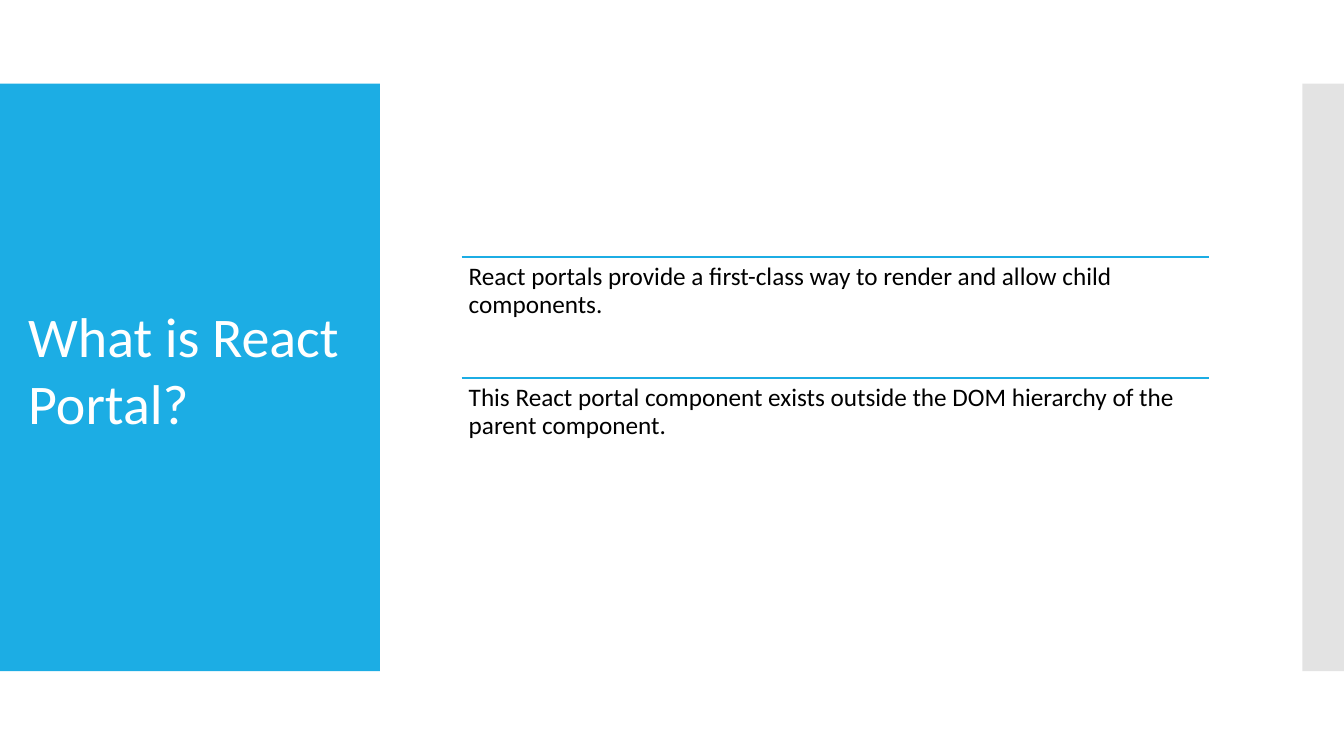
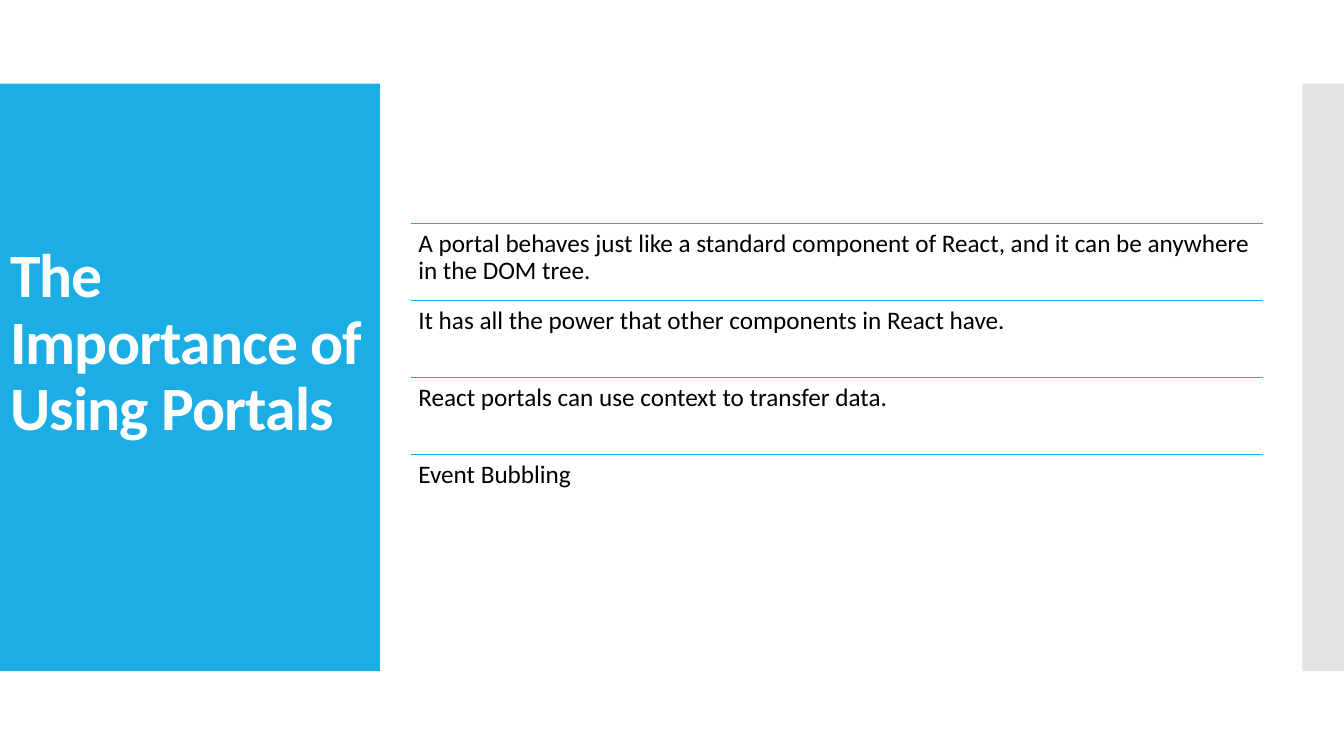
import pptx
import pptx.util
import pptx.dml.color
import pptx.enum.shapes
import pptx.enum.text
import pptx.oxml.ns
import lxml.etree

Inches = pptx.util.Inches
RGBColor = pptx.dml.color.RGBColor

BLUE = RGBColor(0x1C, 0xAD, 0xE4)
GREY = RGBColor(0xC8, 0xC8, 0xC8)
WHITE = RGBColor(0xFF, 0xFF, 0xFF)
BLACK = RGBColor(0x00, 0x00, 0x00)
FONT = "Calibri"
TITLE_ONLY = 5

PAGES = [
    {
        "title": "What is React Portal?",
        "title_box": (0.18, 2.93, 3.4, 1.45),
        "title_format": {"size": 40},
        "list_left": 4.58, "list_top": 2.55, "list_width": 7.41, "row_height": 1.2,
        "rows": [
            "React portals provide a first-class way to render and allow child components.",
            "This React portal component exists outside the DOM hierarchy of the parent component.",
        ],
    },
    {
        "title": "The Importance of Using Portals",
        "title_box": (0, 0.9, 3.83, 5.03),
        "title_format": {"size": 44, "bold": True, "line_spacing": 0.9, "tracking": -60},
        "list_left": 4.08, "list_top": 2.22, "list_width": 8.45, "row_height": 0.764,
        "rows": [
            "A portal behaves just like a standard component of React, and it can be anywhere in the DOM tree.",
            "It has all the power that other components in React have.",
            "React portals can use context to transfer data.",
            "Event Bubbling",
        ],
    },
]


def write_text(shape, text, size=18, color=BLACK, bold=False, line_spacing=1.0,
               tracking=0, margin=0.07, anchor=pptx.enum.text.MSO_ANCHOR.TOP):
    frame = shape.text_frame
    frame.word_wrap = True
    frame.auto_size = pptx.enum.text.MSO_AUTO_SIZE.NONE
    frame.vertical_anchor = anchor
    frame.margin_left = frame.margin_right = Inches(margin)
    frame.margin_top = frame.margin_bottom = Inches(0.07)
    para = frame.paragraphs[0]
    para.alignment = pptx.enum.text.PP_ALIGN.LEFT
    para.line_spacing = line_spacing
    span = para.add_run()
    span.text = text
    span.font.name = FONT
    span.font.size = pptx.util.Pt(size)
    span.font.bold = bold
    span.font.color.rgb = color
    if tracking:
        span.font._element.set("spc", str(tracking))


deck = pptx.Presentation()
deck.slide_width = Inches(13.333)
deck.slide_height = Inches(7.5)
pages = [deck.slides.add_slide(deck.slide_layouts[TITLE_ONLY]) for _ in PAGES]

# Side bands, drawn once and moved to the back of the slide master
for index, (left, width, color) in enumerate([(0, 3.77, BLUE), (12.92, 0.42, GREY)]):
    band = pages[0].shapes.add_shape(
        pptx.enum.shapes.MSO_SHAPE.RECTANGLE,
        Inches(left), Inches(0.83), Inches(width), Inches(5.83))
    band.shadow.inherit = False
    band.fill.solid()
    band.fill.fore_color.rgb = color
    band.line.fill.background()
    if color == GREY:
        tint = band.element.spPr.find(".//" + pptx.oxml.ns.qn("a:srgbClr"))
        lxml.etree.SubElement(tint, pptx.oxml.ns.qn("a:alpha"), val="50000")
    deck.slide_master.shapes.element.insert(2 + index, band.element)

for page, content in zip(pages, PAGES):
    # Title on the blue band
    title = page.shapes.title
    title.left, title.top, title.width, title.height = map(Inches, content["title_box"])
    write_text(title, content["title"], color=WHITE, margin=0.1,
               anchor=pptx.enum.text.MSO_ANCHOR.MIDDLE, **content["title_format"])

    # Ruled list
    left, width = Inches(content["list_left"]), Inches(content["list_width"])
    height = Inches(content["row_height"])
    for index, text in enumerate(content["rows"]):
        top = Inches(content["list_top"]) + index * height
        rule = page.shapes.add_connector(
            pptx.enum.shapes.MSO_CONNECTOR.STRAIGHT, left, top, left + width, top)
        rule.line.color.rgb = BLUE
        rule.line.width = pptx.util.Pt(0.85)
        lxml.etree.SubElement(rule.element.spPr, pptx.oxml.ns.qn("a:effectLst"))
        box = page.shapes.add_textbox(left, top, width, height)
        write_text(box, text, line_spacing=0.9)

deck.save("out.pptx")
